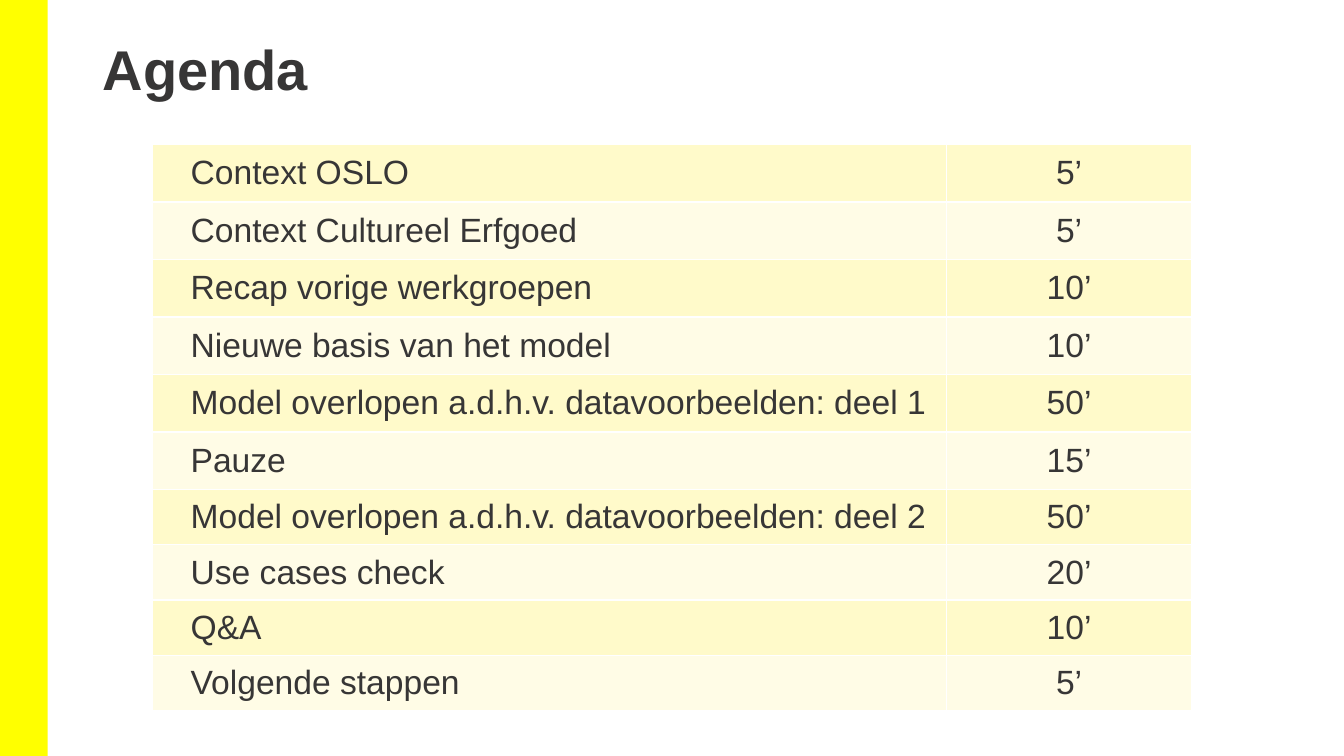
from typing import NamedTuple

from lxml.etree import SubElement
from pptx import Presentation
from pptx.dml.color import RGBColor
from pptx.enum.shapes import MSO_SHAPE
from pptx.enum.text import MSO_ANCHOR, PP_ALIGN
from pptx.oxml.ns import qn
from pptx.slide import Slide
from pptx.table import _Cell
from pptx.util import Pt

YELLOW = RGBColor(0xFF, 0xFF, 0x00)
DARK_GREY = RGBColor(0x37, 0x36, 0x36)
WHITE = RGBColor(0xFF, 0xFF, 0xFF)
ROW_FILLS = (RGBColor(0xFF, 0xFA, 0xCA), RGBColor(0xFF, 0xFC, 0xE6))
FONT = "Arial"
COLUMN_WIDTHS = (567.2, 175)
TALL_ROW, LOW_ROW = 41.1, 39.5


class AgendaItem(NamedTuple):
    topic: str
    duration: str
    height: float = TALL_ROW


AGENDA = (
    AgendaItem("Context OSLO", "5’"),
    AgendaItem("Context Cultureel Erfgoed", "5’"),
    AgendaItem("Recap vorige werkgroepen", "10’"),
    AgendaItem("Nieuwe basis van het model", "10’"),
    AgendaItem("Model overlopen a.d.h.v. datavoorbeelden: deel 1", "50’"),
    AgendaItem("Pauze", "15’"),
    AgendaItem("Model overlopen a.d.h.v. datavoorbeelden: deel 2", "50’", LOW_ROW),
    AgendaItem("Use cases check", "20’", LOW_ROW),
    AgendaItem("Q&A", "10’", LOW_ROW),
    AgendaItem("Volgende stappen", "5’", LOW_ROW),
)


def add_side_bar(page: Slide) -> None:
    bar = page.shapes.add_shape(MSO_SHAPE.RECTANGLE, 0, 0, Pt(34), Pt(540))
    bar.shadow.inherit = False
    bar.fill.solid()
    bar.fill.fore_color.rgb = YELLOW
    bar.line.fill.background()


def format_title(page: Slide, text: str) -> None:
    title = page.shapes.title
    title.left, title.top, title.width, title.height = Pt(66.2), Pt(10), Pt(635), Pt(87)
    frame = title.text_frame
    frame.text = text
    frame.word_wrap = True
    frame.vertical_anchor = MSO_ANCHOR.MIDDLE
    para = frame.paragraphs[0]
    para.alignment = PP_ALIGN.LEFT
    para.line_spacing = 0.75
    para.font.name, para.font.size, para.font.bold = FONT, Pt(40), True
    para.font.color.rgb = DARK_GREY


def add_borders(cell: _Cell) -> None:
    properties = cell._tc.get_or_add_tcPr()
    for side in ("lnL", "lnR", "lnT", "lnB"):
        line = SubElement(properties, qn(f"a:{side}"), w=str(Pt(1)))
        fill = SubElement(line, qn("a:solidFill"))
        SubElement(fill, qn("a:srgbClr"), val=str(WHITE))


def fill_cell(cell: _Cell, text: str, fill: RGBColor, alignment: PP_ALIGN) -> None:
    add_borders(cell)
    cell.fill.solid()
    cell.fill.fore_color.rgb = fill
    cell.vertical_anchor = MSO_ANCHOR.MIDDLE
    cell.text = text
    para = cell.text_frame.paragraphs[0]
    para.alignment = alignment
    para.font.name, para.font.size = FONT, Pt(24)
    para.font.color.rgb = DARK_GREY


def add_agenda(page: Slide) -> None:
    height = sum(item.height for item in AGENDA)
    table = page.shapes.add_table(
        len(AGENDA), len(COLUMN_WIDTHS),
        Pt(109), Pt(103.2), Pt(sum(COLUMN_WIDTHS)), Pt(height),
    ).table
    table.first_row = False
    table.horz_banding = False
    for column, width in zip(table.columns, COLUMN_WIDTHS):
        column.width = Pt(width)
    for index, (row, item) in enumerate(zip(table.rows, AGENDA)):
        row.height = Pt(item.height)
        fill = ROW_FILLS[index % 2]
        topic, duration = row.cells
        fill_cell(topic, item.topic, fill, PP_ALIGN.LEFT)
        topic.margin_left = Pt(27.2)
        fill_cell(duration, item.duration, fill, PP_ALIGN.CENTER)


def main() -> None:
    deck = Presentation()
    deck.slide_width, deck.slide_height = Pt(960), Pt(540)
    page = deck.slides.add_slide(deck.slide_layouts[5])
    add_side_bar(page)
    format_title(page, "Agenda")
    add_agenda(page)
    deck.save("out.pptx")


if __name__ == "__main__":
    main()
